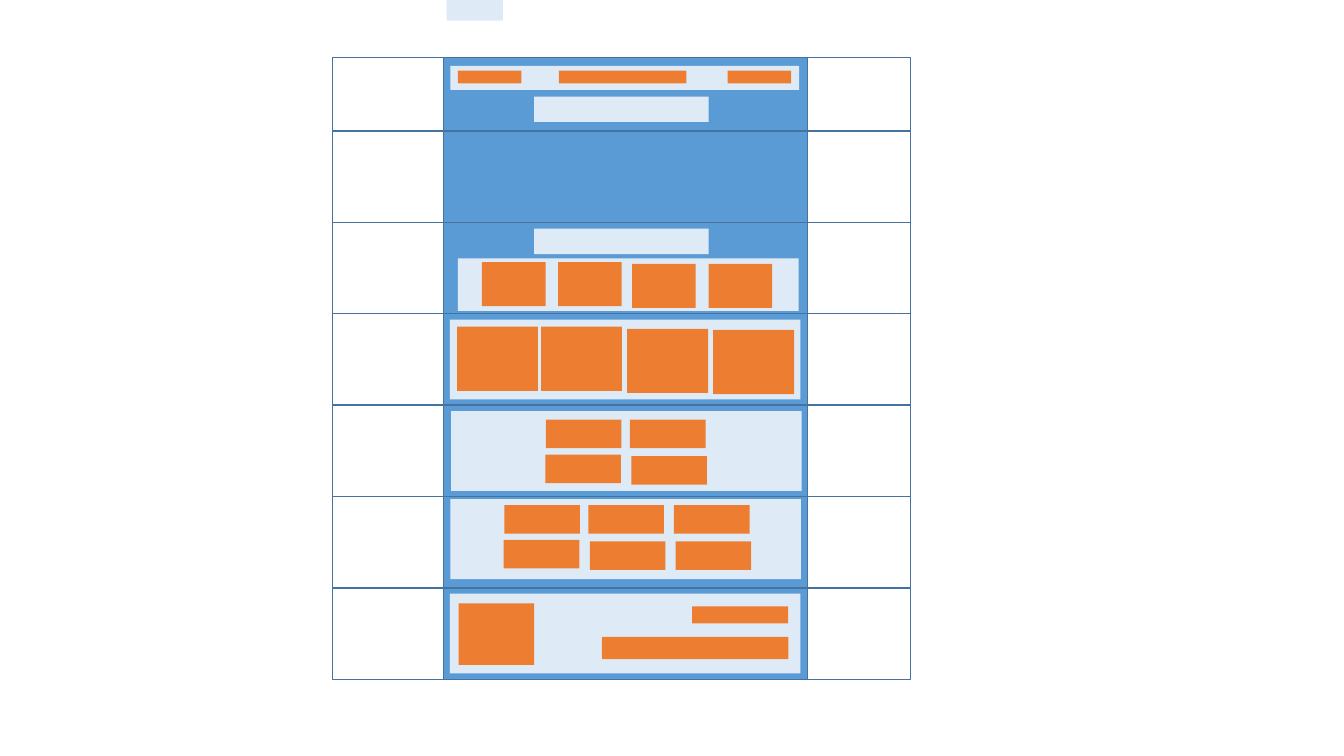
from pptx import Presentation
from pptx.dml.color import RGBColor
from pptx.enum.shapes import MSO_SHAPE as SHAPE
from pptx.util import Pt

COLORS = {"column": "5B9BD5", "border": "43739E", "panel": "DEEBF7", "item": "ED7D31"}

PAGE_LEFT, PAGE_TOP, PAGE_WIDTH = 237.6, 41, 412.6
COLUMN_LEFT, COLUMN_WIDTH = 316.8, 260
ROW_HEIGHTS = [52.5] + [65.3] * 6

TITLE_SIZE = (124.6, 18.2)
SECTION_SIZE = (250.4, 57)

SECTIONS = [
    {"panels": [((249.1, 17.3), (321.8, 47)),
                (TITLE_SIZE, (381.6, 69)),
                ((40.3, 41), (319, -26.2))],
     "items": [((45.4, 9), [(327, 50.5), (519.7, 50.5)]),
               ((91, 9), [(399.3, 50.5)])]},
    {"panels": [(TITLE_SIZE, (381.6, 163.4)),
                ((243.5, 37.5), (327, 184.5))],
     "items": [((45.4, 31.4), [(344.3, 187.3), (398.7, 187.3),
                               (451.5, 188.6), (506.2, 188.6)])]},
    {"panels": [(SECTION_SIZE, (321.3, 228.3))],
     "items": [((57.8, 45.8), [(326.5, 233.4), (386.5, 233.4),
                               (448, 234.9), (509.4, 235.7)])]},
    {"panels": [(SECTION_SIZE, (322.2, 293.6))],
     "items": [((54, 20.4), [(389.9, 299.8), (450, 299.8),
                             (389.6, 324.7), (450.9, 325.8)])]},
    {"panels": [(SECTION_SIZE, (321.8, 356.6))],
     "items": [((54, 20.4), [(360.2, 360.8), (420.3, 360.8), (481.4, 360.8),
                             (359.8, 385.7), (421.3, 386.8), (482.5, 386.8)])]},
    {"panels": [(SECTION_SIZE, (321.3, 424))],
     "items": [((54, 44), [(327.6, 431)]),
               ((68.5, 12.3), [(494.4, 433.1)]),
               ((133.2, 16), [(430, 454.9)])]},
]


def add_box(s, left, top, width, height, fill=None, line=None):
    sp = s.shapes.add_shape(SHAPE.RECTANGLE, Pt(left), Pt(top), Pt(width), Pt(height))
    sp.shadow.inherit = False
    if fill:
        sp.fill.solid()
        sp.fill.fore_color.rgb = RGBColor.from_string(COLORS[fill])
    else:
        sp.fill.background()
    if line:
        sp.line.color.rgb = RGBColor.from_string(COLORS[line])
        sp.line.width = Pt(1)
    else:
        sp.line.fill.background()


def main():
    prs = Presentation()
    prs.slide_width, prs.slide_height = Pt(960), Pt(540)
    s = prs.slides.add_slide(prs.slide_layouts[6])

    add_box(s, COLUMN_LEFT, PAGE_TOP, COLUMN_WIDTH, sum(ROW_HEIGHTS),
            fill="column", line="border")
    for i, height in enumerate(ROW_HEIGHTS):
        add_box(s, PAGE_LEFT, PAGE_TOP + sum(ROW_HEIGHTS[:i]), PAGE_WIDTH, height,
                line="border")

    for section in SECTIONS:
        for size, position in section["panels"]:
            add_box(s, *position, *size, fill="panel")
        for size, positions in section["items"]:
            for position in positions:
                add_box(s, *position, *size, fill="item")

    prs.save("out.pptx")


if __name__ == "__main__":
    main()
